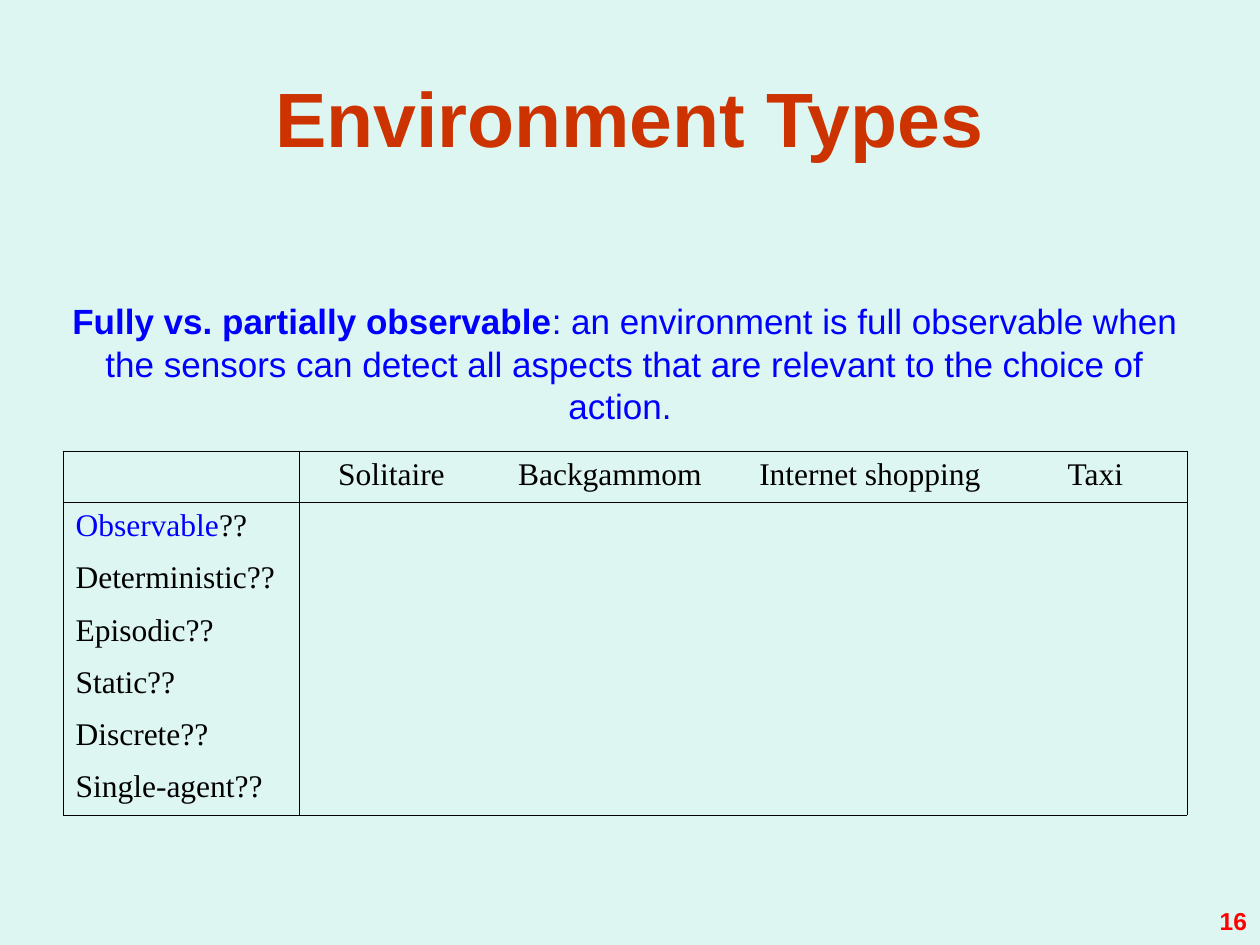
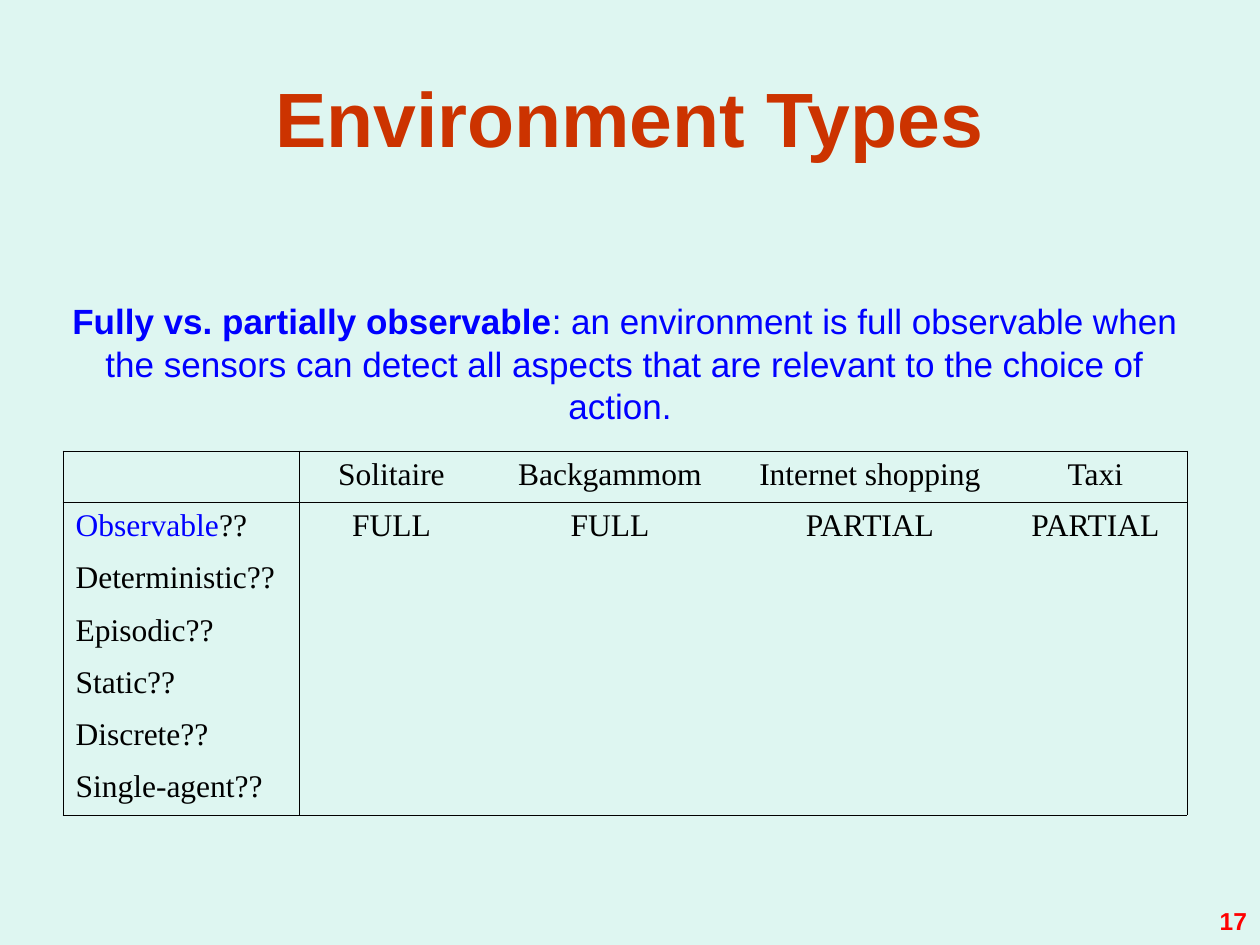
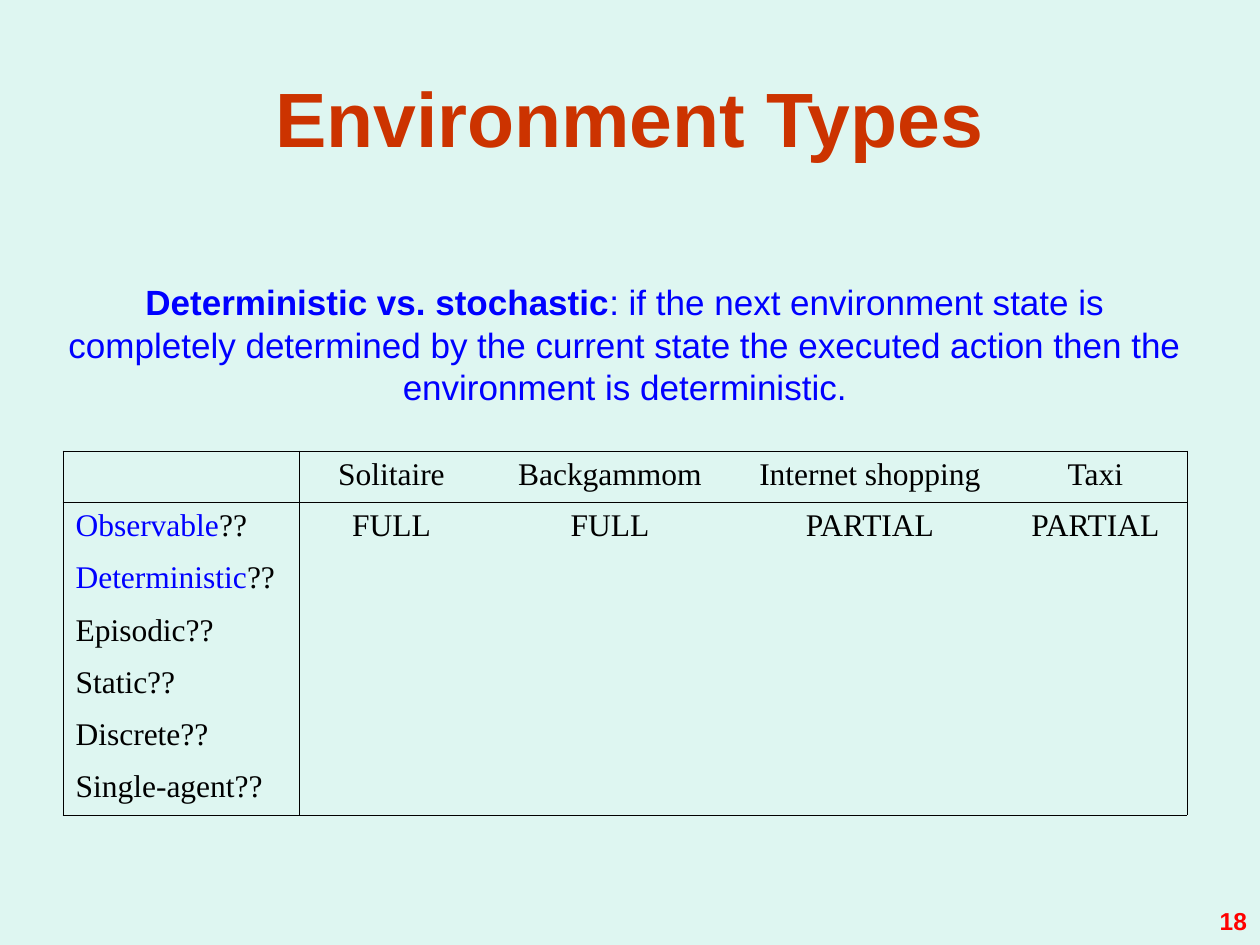
from pptx import Presentation
from pptx.dml.color import RGBColor
from pptx.enum.text import MSO_ANCHOR as Anchor, PP_ALIGN as Align
from pptx.oxml.ns import qn
from pptx.util import Emu, Pt
from lxml.etree import SubElement

EMU_PER_PX = 914400 / 126

BACKGROUND = RGBColor(0xDE, 0xF6, 0xF1)
TITLE_RED = RGBColor(0xCC, 0x33, 0x00)
NUMBER_RED = RGBColor(0xFF, 0x00, 0x00)
BLUE = RGBColor(0x00, 0x00, 0xFF)
BLACK = RGBColor(0x00, 0x00, 0x00)
SANS = "Arial"
SERIF = "Times New Roman"
BORDER_WIDTH = Pt(0.45)

LEFT = 63
CONTENT_WIDTH = 1124
TABLE_TOP = 451
COLUMN_WIDTHS = [236, 185, 252, 268, 183]
ROW_HEIGHTS = [51, 52, 53, 52, 52, 52, 52]

ENVIRONMENTS = ["Solitaire", "Backgammom", "Internet shopping", "Taxi"]
PROPERTIES = ["Observable", "Deterministic", "Episodic", "Static", "Discrete", "Single-agent"]
OBSERVABLE_ANSWERS = ["FULL", "FULL", "PARTIAL", "PARTIAL"]

OBSERVABLE = (
    "Fully vs. partially observable",
    ": an environment is full observable when the sensors can detect all "
    "aspects that are relevant to the choice of action. ",
)
DETERMINISTIC = (
    "Deterministic vs. stochastic",
    ": if the next environment state is completely determined by the current "
    "state the executed action then the environment is deterministic.",
)

# number, definition, top of definition, highlighted properties, answer rows
SLIDES = [
    (16, OBSERVABLE, 294, 1, []),
    (17, OBSERVABLE, 294, 1, [OBSERVABLE_ANSWERS]),
    (18, DETERMINISTIC, 275, 2, [OBSERVABLE_ANSWERS]),
]


def px(length):
    return Emu(round(length * EMU_PER_PX))


def add_run(paragraph, text, *, size, font=SANS, color=BLACK, bold=False):
    run = paragraph.add_run()
    run.text = text
    run.font.name = font
    run.font.size = Pt(size)
    run.font.bold = bold
    run.font.color.rgb = color


def add_text_box(slide, left, top, width, height, *, align=Align.CENTER,
                 anchor=Anchor.TOP, side_inset=13, top_inset=6):
    """Add an empty text box and return its paragraph."""
    frame = slide.shapes.add_textbox(px(left), px(top), px(width), px(height)).text_frame
    frame.word_wrap = True
    frame.vertical_anchor = anchor
    frame.margin_left = frame.margin_right = px(side_inset)
    frame.margin_top, frame.margin_bottom = px(top_inset), px(6)
    paragraph = frame.paragraphs[0]
    paragraph.alignment = align
    return paragraph


def add_title(slide):
    paragraph = add_text_box(slide, LEFT, 38, 1134, 157, anchor=Anchor.MIDDLE)
    add_run(paragraph, "Environment Types", size=44, color=TITLE_RED, bold=True)


def add_definition(slide, top, term, meaning):
    paragraph = add_text_box(slide, LEFT, top, CONTENT_WIDTH, 139, side_inset=0)
    add_run(paragraph, term, size=20, color=BLUE, bold=True)
    add_run(paragraph, meaning, size=20, color=BLUE)


def add_page_number(slide, number):
    paragraph = add_text_box(slide, 966, 880, 294, 65, align=Align.RIGHT, top_inset=28)
    add_run(paragraph, str(number), size=14, color=NUMBER_RED, bold=True)


def set_borders(cell, visible_sides):
    properties = cell._tc.get_or_add_tcPr()
    for side in "LRTB":
        line = SubElement(properties, qn(f"a:ln{side}"), w=str(BORDER_WIDTH))
        if side in visible_sides:
            fill = SubElement(line, qn("a:solidFill"))
            SubElement(fill, qn("a:srgbClr"), val=str(BLACK))
        else:
            SubElement(line, qn("a:noFill"))


def sides_at(row, column):
    """Rule the outside, the header row and the label column."""
    sides = ""
    if column <= 1:
        sides += "L"
    if column in (0, len(COLUMN_WIDTHS) - 1):
        sides += "R"
    if row <= 1:
        sides += "T"
    if row in (0, len(ROW_HEIGHTS) - 1):
        sides += "B"
    return sides


def write_cell(cell, text):
    paragraph = cell.text_frame.paragraphs[0]
    paragraph.alignment = Align.CENTER
    add_run(paragraph, text, size=18, font=SERIF)


def add_property_table(slide, highlighted, answer_rows):
    table = slide.shapes.add_table(
        len(ROW_HEIGHTS), len(COLUMN_WIDTHS), px(LEFT), px(TABLE_TOP),
        px(CONTENT_WIDTH), px(sum(ROW_HEIGHTS))).table
    table.first_row = table.horz_banding = False
    for column, width in zip(table.columns, COLUMN_WIDTHS):
        column.width = px(width)
    for row, height in zip(table.rows, ROW_HEIGHTS):
        row.height = px(height)

    for row_index, row in enumerate(table.rows):
        for column_index, cell in enumerate(row.cells):
            set_borders(cell, sides_at(row_index, column_index))
            cell.fill.background()

    for row_index, texts in enumerate([ENVIRONMENTS] + answer_rows):
        for column_index, text in enumerate(texts, 1):
            write_cell(table.cell(row_index, column_index), text)
    for row_index, name in enumerate(PROPERTIES, 1):
        paragraph = table.cell(row_index, 0).text_frame.paragraphs[0]
        if row_index <= highlighted:
            add_run(paragraph, name, size=18, font=SERIF, color=BLUE)
            add_run(paragraph, "??", size=18, font=SERIF)
        else:
            add_run(paragraph, name + "??", size=18, font=SERIF)


def main():
    presentation = Presentation()
    presentation.slide_width, presentation.slide_height = px(1260), px(945)
    for number, definition, top, highlighted, answer_rows in SLIDES:
        slide = presentation.slides.add_slide(presentation.slide_layouts[6])
        slide.background.fill.solid()
        slide.background.fill.fore_color.rgb = BACKGROUND
        add_title(slide)
        add_property_table(slide, highlighted, answer_rows)
        add_definition(slide, top, *definition)
        add_page_number(slide, number)
    presentation.save("out.pptx")


if __name__ == "__main__":
    main()
